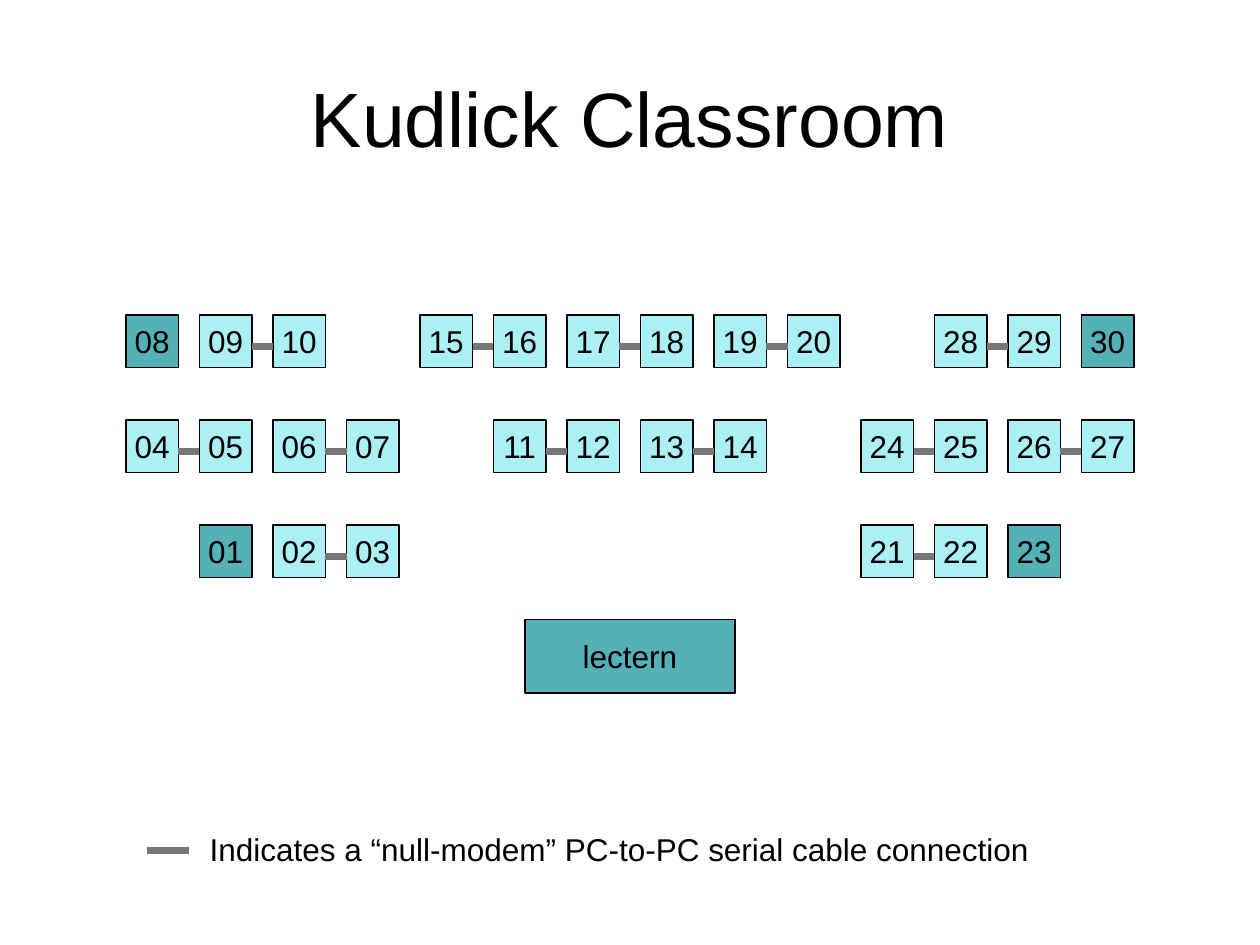
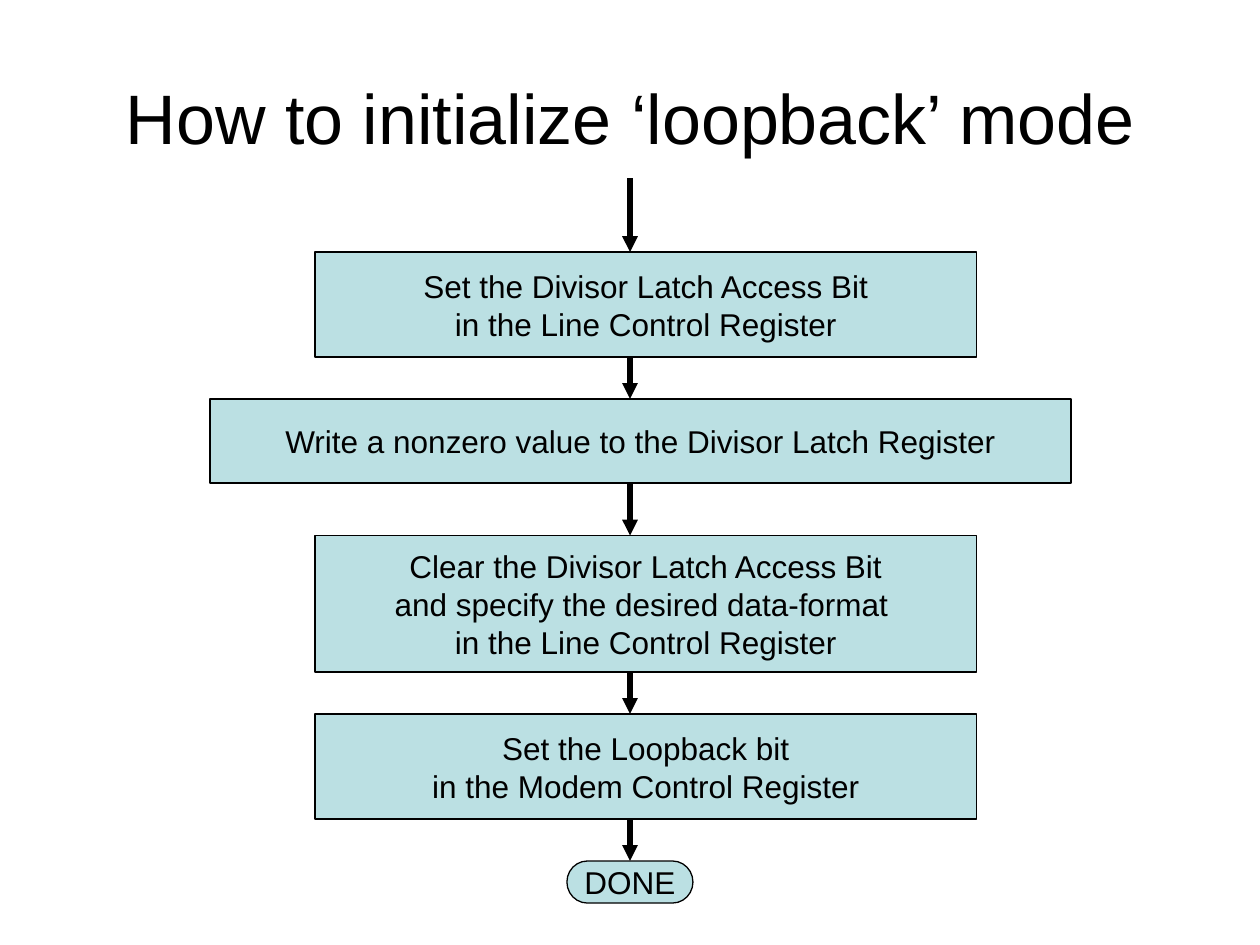
from lxml import etree
from pptx import Presentation
from pptx.dml.color import RGBColor
from pptx.enum.shapes import MSO_CONNECTOR, MSO_SHAPE
from pptx.enum.text import MSO_ANCHOR, PP_ALIGN
from pptx.oxml.ns import qn
from pptx.util import Pt

RECT = MSO_SHAPE.RECTANGLE
TERMINATOR = MSO_SHAPE.FLOWCHART_TERMINATOR
STRAIGHT = MSO_CONNECTOR.STRAIGHT
MIDDLE, TOP = MSO_ANCHOR.MIDDLE, MSO_ANCHOR.TOP
CENTER, LEFT = PP_ALIGN.CENTER, PP_ALIGN.LEFT

SCALE = 7620  # EMU per px, 120 px to the inch
SLIDE_W, SLIDE_H = 1200, 900
FONT = "Arial"
BLACK, GREY = "000000", "777777"
DARK_TEAL, LIGHT_CYAN, PALE_TEAL = "54B1B8", "AAF0F4", "BBE0E3"

SEAT, PITCH, ROW_PITCH = 50, 70, 100
UNCABLED_SEATS = {1, 8, 23, 30}
# Seat blocks: row, first column, first seat number, seat count
SEAT_BLOCKS = [
    (0, 0, 8, 3), (0, 4, 15, 6), (0, 11, 28, 3),
    (1, 0, 4, 4), (1, 5, 11, 4), (1, 10, 24, 4),
    (2, 1, 1, 3), (2, 10, 21, 3),
]

# Flowchart steps: left, top, width, height (relative to the chart), shape, lines
STEPS = [
    (100, 70, 630, 100, RECT,
     ["Set the Divisor Latch Access Bit", "in the Line Control Register"]),
    (0, 210, 820, 80, RECT,
     ["Write a nonzero value to the Divisor Latch Register"]),
    (100, 340, 630, 130, RECT,
     ["Clear the Divisor Latch Access Bit",
      "and specify the desired data-format ",
      "in the Line Control Register"]),
    (100, 510, 630, 100, RECT,
     ["Set the Loopback bit", "in the Modem Control Register"]),
    (340, 650, 120, 40, TERMINATOR, ["DONE"]),
]


def px(*lengths):
    return [n * SCALE for n in lengths]


def rgb(color):
    return RGBColor.from_string(color)


def write(sp, lines, size=18, align=CENTER, anchor=MIDDLE, wrap=False):
    tf = sp.text_frame
    tf.word_wrap = wrap
    tf.vertical_anchor = anchor
    for i, line in enumerate(lines):
        p = tf.add_paragraph() if i else tf.paragraphs[0]
        p.text = line
        p.alignment = align
        p.font.name = FONT
        p.font.size = Pt(size)
        p.font.color.rgb = rgb(BLACK)


def add_text(s, box, text, **style):
    write(s.shapes.add_textbox(*px(*box)), [text], **style)


def add_box(s, box, fill, lines, shape=RECT):
    sp = s.shapes.add_shape(shape, *px(*box))
    sp.shadow.inherit = False
    sp.fill.solid()
    sp.fill.fore_color.rgb = rgb(fill)
    sp.line.color.rgb = rgb(BLACK)
    sp.line.width = Pt(0.75)
    write(sp, lines)


def add_line(s, ends, color, width, arrow=False):
    line = s.shapes.add_connector(STRAIGHT, *px(*ends))
    line.line.color.rgb = rgb(color)
    line.line.width = Pt(width)
    if arrow:
        etree.SubElement(line.line._get_or_add_ln(), qn("a:tailEnd"), type="triangle")
    etree.SubElement(line._element.spPr, qn("a:effectLst"))


def add_cable(s, x, y, length):
    add_line(s, (x, y, x + length, y), GREY, 4.5)


def add_titled_slide(prs, title, size):
    s = prs.slides.add_slide(prs.slide_layouts[6])
    add_text(s, (60, 36, 1080, 150), title, size=size, wrap=True)
    return s


def add_seat_block(s, x, y, first, count):
    seats = range(first, first + count)
    for i, seat in enumerate(seats):
        fill = DARK_TEAL if seat in UNCABLED_SEATS else LIGHT_CYAN
        add_box(s, (x + i * PITCH, y, SEAT, SEAT), fill, [f"{seat:02}"])

    # The other seats are cabled in pairs
    cabled = [seat for seat in seats if seat not in UNCABLED_SEATS]
    for seat in cabled[::2]:
        add_cable(s, x + (seat - first) * PITCH + SEAT, y + 30, PITCH - SEAT)


def add_seating_plan(s, x, y):
    for row, column, first, count in SEAT_BLOCKS:
        add_seat_block(s, x + column * PITCH, y + row * ROW_PITCH, first, count)
    add_box(s, (x + 380, y + 290, 200, 70), DARK_TEAL, ["lectern"])


def add_legend(s, x, y):
    add_cable(s, x, y + 25, 40)
    add_text(s, (x + 48, y, 804, 48),
             "Indicates a “null-modem” PC-to-PC serial cable connection",
             align=LEFT, anchor=TOP)


def add_flowchart(s, x, y):
    axis = x + 400
    arrow_top = y
    for left, top, w, h, shape, lines in STEPS:
        add_box(s, (x + left, y + top, w, h), PALE_TEAL, lines, shape)
        add_line(s, (axis, arrow_top, axis, y + top), BLACK, 3, arrow=True)
        arrow_top = y + top + h


def main():
    prs = Presentation()
    prs.slide_width, prs.slide_height = px(SLIDE_W, SLIDE_H)

    # Classroom seating
    s = add_titled_slide(prs, "Kudlick Classroom", 44)
    add_seating_plan(s, 120, 300)
    add_legend(s, 140, 785)

    # Loopback steps
    s = add_titled_slide(prs, "How to initialize ‘loopback’ mode", 40)
    add_flowchart(s, 200, 170)

    prs.save("out.pptx")


if __name__ == "__main__":
    main()
